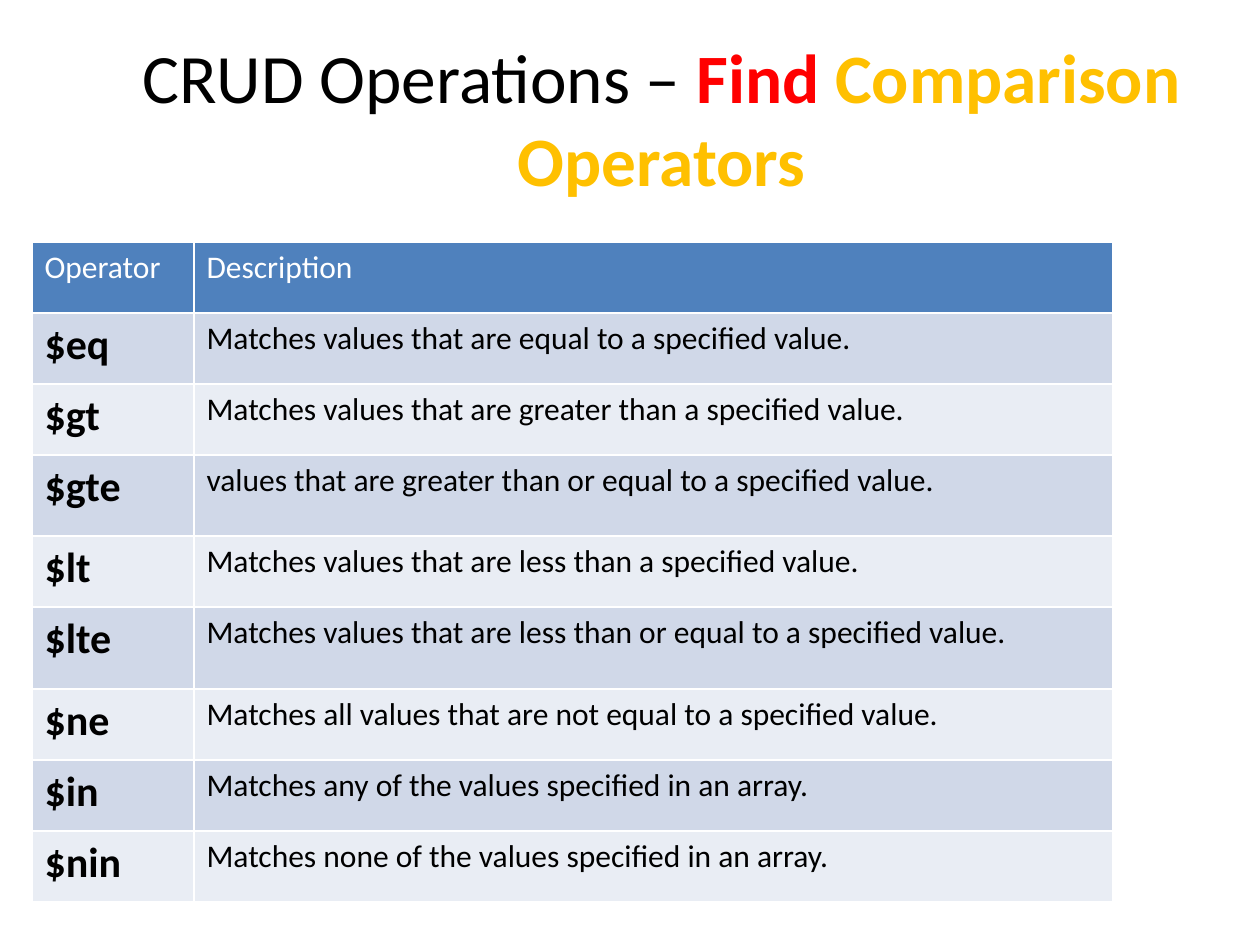
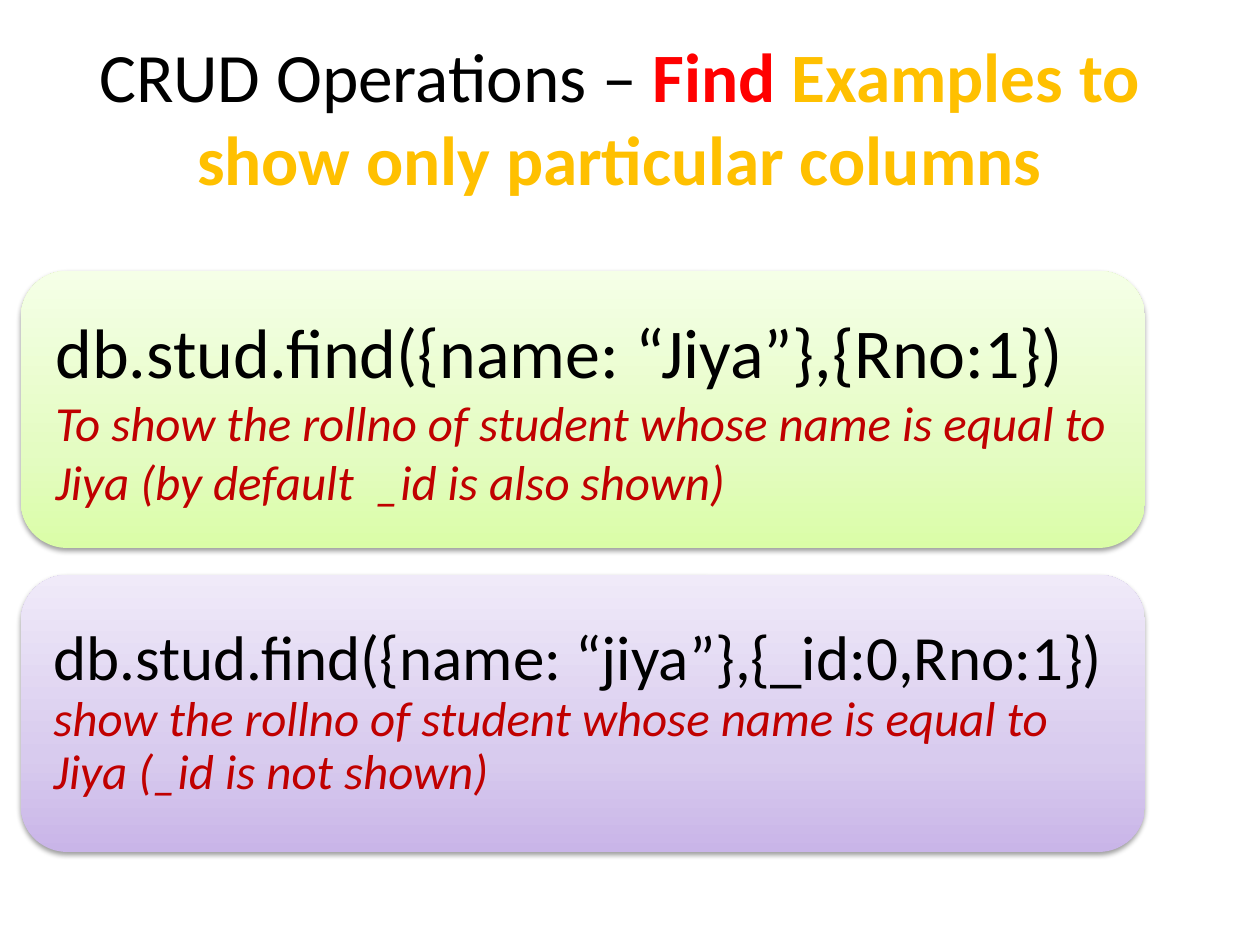
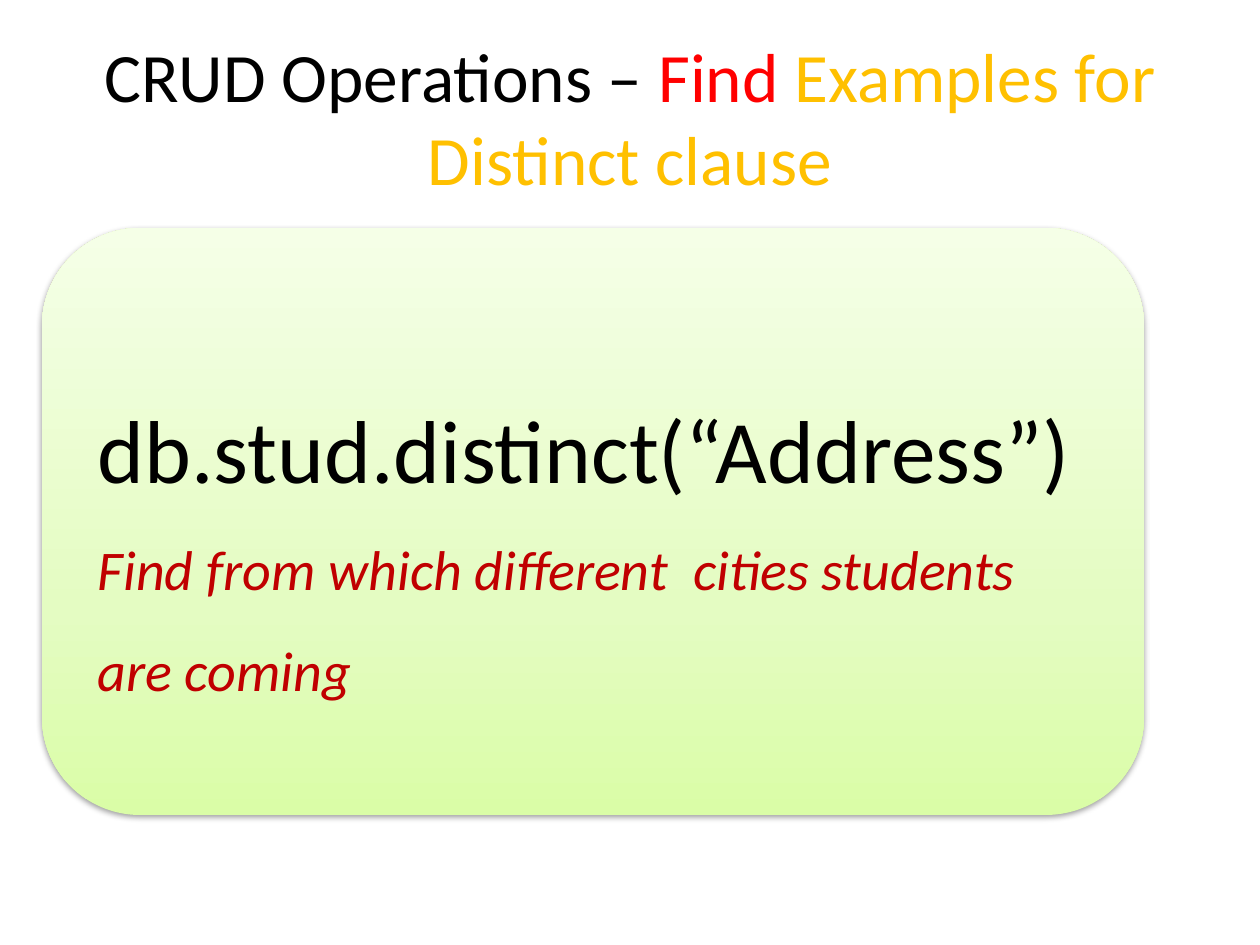
"""Build three slides on find queries: comparison operators, projection and distinct."""
from lxml.etree import SubElement
from pptx import Presentation
from pptx.dml.color import RGBColor
from pptx.enum.shapes import MSO_SHAPE
from pptx.enum.text import MSO_ANCHOR, MSO_AUTO_SIZE, PP_ALIGN
from pptx.oxml.ns import qn
from pptx.util import Emu, Pt

PIXEL = 914400 / 126
FONT = "Calibri"
COLORS = {
    "text": "000000", "find": "FF0000", "topic": "FFC000", "note": "C00000",
    "white": "FFFFFF", "header": "4F81BD", "band_dark": "D0D8E8", "band_light": "E9EDF4",
}
GRADIENTS = {
    "green": [(0, "DAFDA7"), (35, "E4FCC2"), (100, "F5FFE7")],
    "purple": [(0, "C9B5E8"), (35, "D8CBEE"), (100, "F0EAF9")],
}
OPERATORS = [
    ("Operator", "Description", 71),
    ("$eq", "Matches values that are equal to a specified value.", 71),
    ("$gt", "Matches values that are greater than a specified value.", 71),
    ("$gte", "values that are greater than or equal to a specified value.", 81),
    ("$lt", "Matches values that are less than a specified value.", 71),
    ("$lte", "Matches values that are less than or equal to a specified value.", 82),
    ("$ne", "Matches all values that are not equal to a specified value.", 71),
    ("$in", "Matches any of the values specified in an array.", 71),
    ("$nin", "Matches none of the values specified in an array.", 71),
]
TABLE_LEFT, TABLE_TOP = 32, 242
COLUMN_WIDTHS = (162, 919)
SLIDES = [
    {"topic": "Comparison Operators", "bold": True, "title_box": (126, 38, 1071, 158),
     "operators": OPERATORS, "cards": []},
    {"topic": "Examples to show only particular columns", "bold": True,
     "title_box": (63, 38, 1113, 157),
     "cards": [
         {"code": "db.stud.find({name: “Jiya”},{Rno:1})", "code_size": 40,
          "note": "To show the rollno of student whose name is equal to Jiya "
                  "(by default  _id is also shown)",
          "note_size": 28, "box": (21, 271, 1124, 277), "inset": 21,
          "spacing": 1.0, "gradient": "green"},
         {"code": "db.stud.find({name: “jiya”},{_id:0,Rno:1})", "code_size": 36,
          "note": "show the rollno of student whose name is equal to Jiya (_id is not shown)",
          "note_size": 28, "box": (21, 575, 1124, 277), "inset": 19,
          "spacing": 0.9, "gradient": "purple"},
     ]},
    {"topic": "Examples for Distinct clause", "bold": False, "title_box": (63, 38, 1134, 157),
     "cards": [
         {"code": "db.stud.distinct(“Address”)", "code_size": 51,
          "note": "Find from which different  cities students are coming",
          "note_size": 32, "box": (42, 228, 1102, 587), "inset": 27,
          "spacing": 1.5, "gradient": "green"},
     ]},
]


def px(length):
    """Turn pixels into EMU."""
    return Emu(round(length * PIXEL))


def add_run(paragraph, text, size, color, bold=False, italic=False):
    """Add one formatted run."""
    run = paragraph.add_run()
    run.text = text
    font = run.font
    font.name, font.size, font.bold, font.italic = FONT, Pt(size), bold, italic
    font.color.rgb = RGBColor.from_string(COLORS[color])


def add_title(slide, topic, bold, box):
    """Place the title placeholder and fill in its three coloured parts."""
    title = slide.shapes.title
    title.left, title.top, title.width, title.height = map(px, box)
    frame = title.text_frame
    frame.auto_size = MSO_AUTO_SIZE.NONE
    frame.vertical_anchor = MSO_ANCHOR.MIDDLE
    paragraph = frame.paragraphs[0]
    paragraph.alignment = PP_ALIGN.CENTER
    add_run(paragraph, "CRUD Operations – ", 39.6, "text")
    add_run(paragraph, "Find ", 39.6, "find", bold)
    add_run(paragraph, topic, 39.6, "topic", bold)


def add_operator_table(slide, operators):
    """Add the banded table of operators."""
    heights = [height for _, _, height in operators]
    table = slide.shapes.add_table(
        len(operators), len(COLUMN_WIDTHS), px(TABLE_LEFT), px(TABLE_TOP),
        px(sum(COLUMN_WIDTHS)), px(sum(heights))).table
    for column, width in zip(table.columns, COLUMN_WIDTHS):
        column.width = px(width)
    for row_index, (operator, description, height) in enumerate(operators):
        table.rows[row_index].height = px(height)
        is_header = row_index == 0
        band = "header" if is_header else "band_dark" if row_index % 2 else "band_light"
        for column_index, text in enumerate((operator, description)):
            cell = table.cell(row_index, column_index)
            cell.fill.solid()
            cell.fill.fore_color.rgb = RGBColor.from_string(COLORS[band])
            is_operator = column_index == 0 and not is_header
            add_run(cell.text_frame.paragraphs[0], text, 24 if is_operator else 18,
                    "white" if is_header else "text", is_operator)


def add_color(parent, color):
    """Append an RGB colour element."""
    return SubElement(parent, qn("a:srgbClr"), val=color)


def style_card(shape, stops):
    """Give a card its upward gradient and soft shadow."""
    shape.line.fill.background()
    shape.fill.gradient()
    shape.fill.gradient_angle = 90
    properties = shape.element.spPr
    stop_list = properties.find(".//" + qn("a:gsLst"))
    for old_stop in list(stop_list):
        stop_list.remove(old_stop)
    for position, color in stops:
        add_color(SubElement(stop_list, qn("a:gs"), pos=str(position * 1000)), color)
    shape.shadow.inherit = False
    shadow = SubElement(properties.find(qn("a:effectLst")), qn("a:outerShdw"),
                        blurRad="40000", dist="20000", dir="5400000", rotWithShape="0")
    SubElement(add_color(shadow, COLORS["text"]), qn("a:alpha"), val="38000")


def add_card(slide, card):
    """Add a rounded card with a query and its explanation."""
    shape = slide.shapes.add_shape(MSO_SHAPE.ROUNDED_RECTANGLE, *map(px, card["box"]))
    style_card(shape, GRADIENTS[card["gradient"]])
    frame = shape.text_frame
    frame.word_wrap = True
    frame.vertical_anchor = MSO_ANCHOR.MIDDLE
    inset = px(card["inset"])
    frame.margin_left = frame.margin_right = frame.margin_top = frame.margin_bottom = inset
    paragraph = frame.paragraphs[0]
    paragraph.alignment = PP_ALIGN.LEFT
    paragraph.line_spacing = card["spacing"]
    add_run(paragraph, card["code"], card["code_size"], "text")
    paragraph.add_line_break()
    add_run(paragraph, card["note"], card["note_size"], "note", italic=True)


def main():
    """Build and save the presentation."""
    presentation = Presentation()
    presentation.slide_width, presentation.slide_height = px(1260), px(945)
    title_only = presentation.slide_layouts[5]
    for content in SLIDES:
        slide = presentation.slides.add_slide(title_only)
        add_title(slide, content["topic"], content["bold"], content["title_box"])
        if "operators" in content:
            add_operator_table(slide, content["operators"])
        for card in content["cards"]:
            add_card(slide, card)
    presentation.save("out.pptx")


if __name__ == "__main__":
    main()
